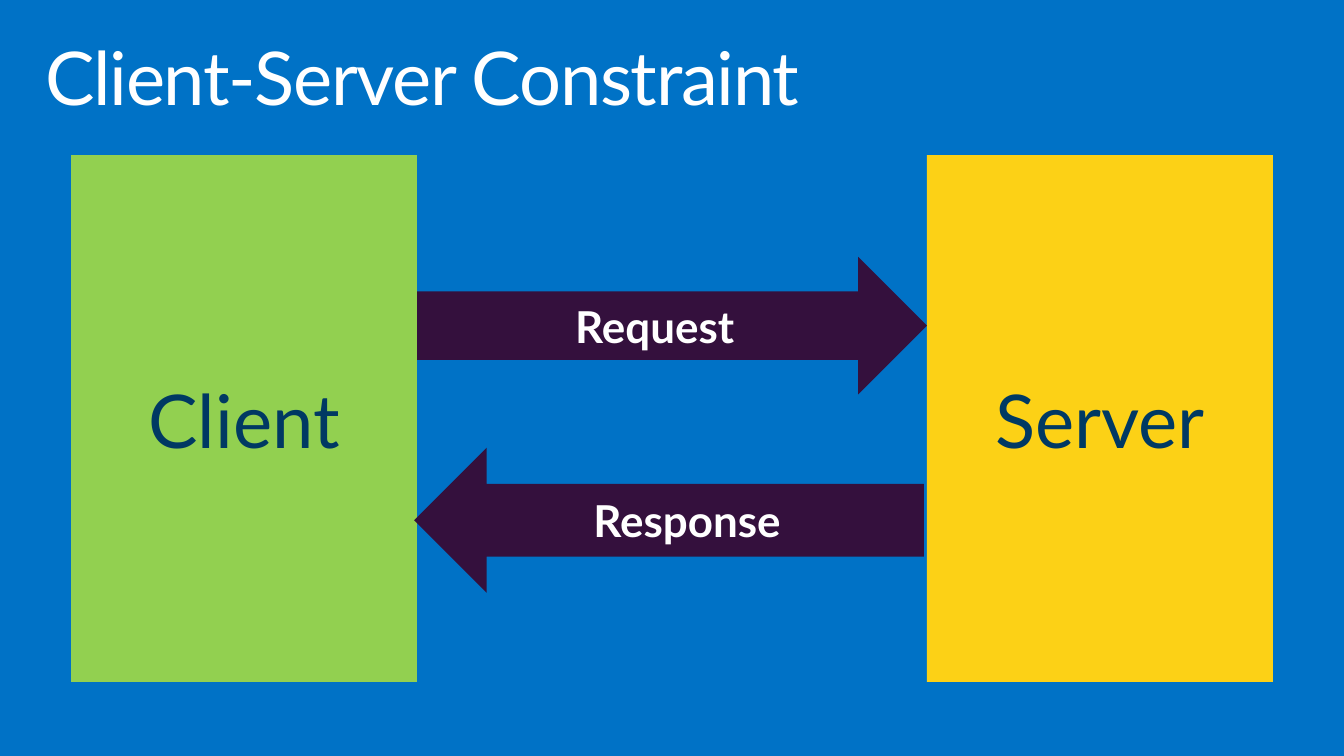
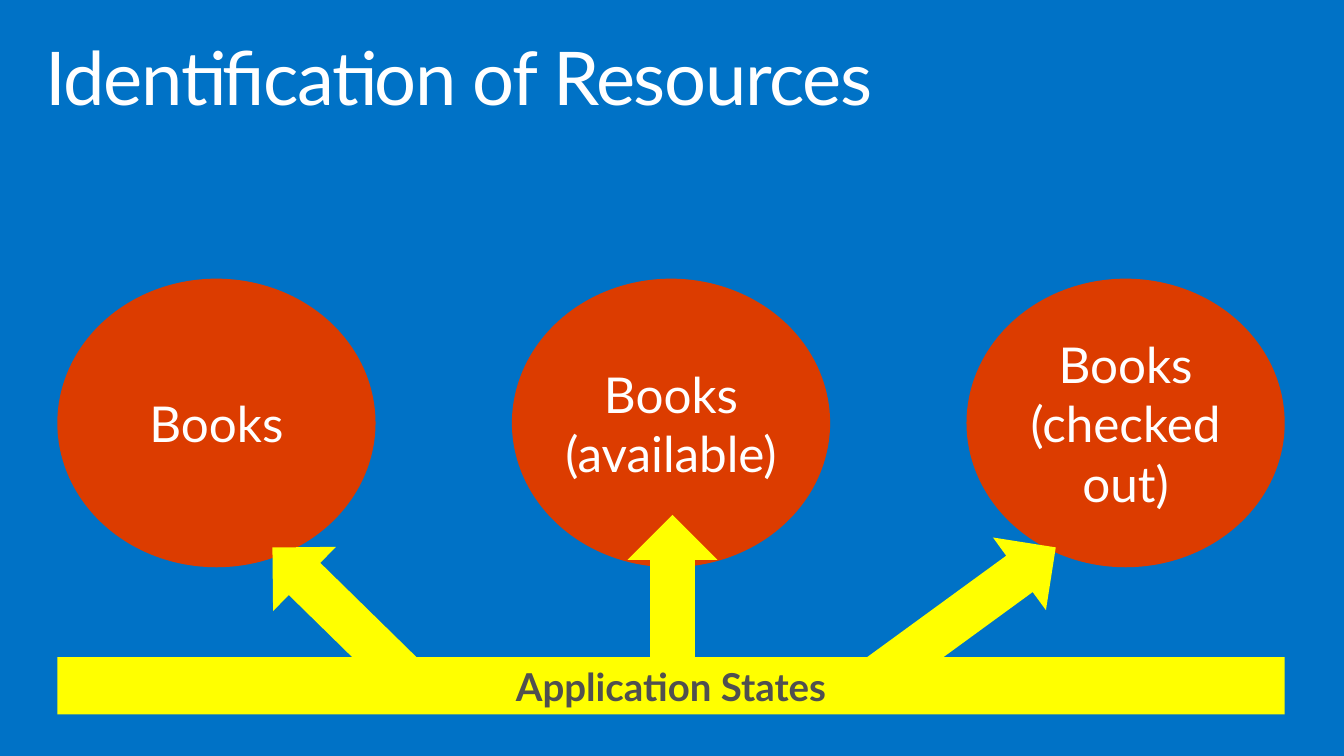
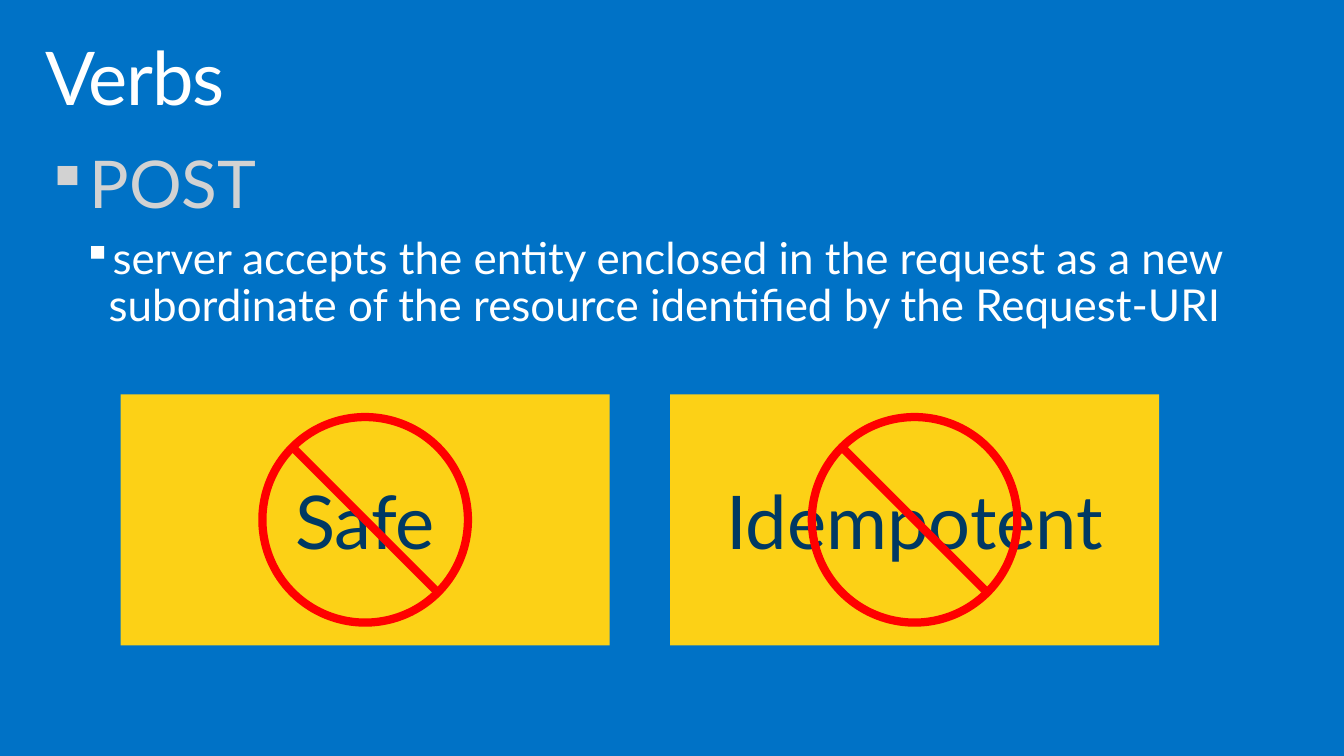
from math import cos, pi

from lxml.etree import SubElement
from pptx import Presentation
from pptx.dml.color import RGBColor
from pptx.enum.shapes import MSO_CONNECTOR as LINK, MSO_SHAPE as SHAPE
from pptx.enum.text import MSO_ANCHOR as ANCHOR, PP_ALIGN as ALIGN
from pptx.oxml.ns import qn
from pptx.util import Inches, Pt

# Shared style
WIDTH, HEIGHT = 13.6, 7.65
FONT = "Lato"
BLUE, NAVY, WHITE, SILVER, GRAY = "0072C6", "003963", "FFFFFF", "D2D2D2", "505050"
GREEN, GOLD, PURPLE = "92D050", "FCD116", "34103D"
ORANGE, YELLOW, RED = "DC3C00", "FFFF00", "FF0000"
TITLE_BOX = (0.3, 0.32, 13, 1)

# Client-server: label, fill; then label, shape, shift, top, height
PARTIES = [("Client", GREEN), ("Server", GOLD)]
PARTY_LEFT, PARTY_TOP, PARTY_W, PARTY_H = 0.72, 1.57, 3.5, 5.33
MESSAGES = [("Request", SHAPE.RIGHT_ARROW, 0, 2.6, 1.39),
            ("Response", SHAPE.LEFT_ARROW, -0.03, 4.53, 1.47)]

# Resources: circles above one bar; arrows as left, top, length, turn
RESOURCES = ["Books", "Books (available)", "Books (checked out)"]
STATES = "Application States"
BAR_LEFT, BAR_TOP, BAR_W, BAR_H = 0.58, 6.65, 12.42, 0.58
CIRCLE_TOP, CIRCLE_W, CIRCLE_H = 2.82, 3.22, 2.92
ARROWS = [(2.49, 5.74, 1.87, 44.4), (6.05, 5.51, 1.51, 90), (8.64, 5.75, 2.26, 143.9)]
ARROW_H = 0.91

# Verbs: text, size, colour, indent, hang
BULLETS = [("POST", 48, SILVER, 0.38, 0.38),
           ("server accepts the entity enclosed in the request as a new subordinate "
            "of the resource identified by the Request-URI", 32, WHITE, 0.64, 0.26)]
BULLET_BOX = (0.3, 1.43, 13.3, 2.04)
PROPERTIES = ["Safe", "Idempotent"]
CARD_LEFT, CARD_TOP, CARD_W, CARD_H, CARD_GAP = 1.22, 3.99, 4.95, 2.54, 0.61
SIGN_SIZE, SIGN_LINE = 2.08, 6


def rgb(color):
    return RGBColor.from_string(color)


def inches(*lengths):
    return [Inches(length) for length in lengths]


def style(font, size, color, bold=False):
    font.name, font.size, font.bold = FONT, Pt(size), bold
    font.color.rgb = rgb(color)


def add_block(slide, kind, box, fill, text="", size=54, color=NAVY, bold=False):
    block = slide.shapes.add_shape(kind, *inches(*box))
    block.shadow.inherit = False
    block.fill.solid()
    block.fill.fore_color.rgb = rgb(fill)
    block.line.fill.background()
    if text:
        frame = block.text_frame
        frame.text = text
        frame.word_wrap = True
        frame.vertical_anchor = ANCHOR.MIDDLE
        frame.margin_left = frame.margin_right = 0
        label = frame.paragraphs[0]
        label.alignment = ALIGN.CENTER
        style(label.runs[0].font, size, color, bold)
    return block


def add_text(slide, box):
    frame = slide.shapes.add_textbox(*inches(*box)).text_frame
    frame.word_wrap = True
    frame.margin_left = frame.margin_right = Inches(0.16)
    frame.margin_top = frame.margin_bottom = Inches(0.1)
    return frame


def new_slide(prs, title):
    slide = prs.slides.add_slide(prs.slide_layouts[6])
    heading = add_text(slide, TITLE_BOX).paragraphs[0]
    heading.text = title
    heading.line_spacing = 0.9
    run = heading.runs[0]
    style(run.font, 54, WHITE)
    run.font._element.set("spc", "-100")
    return slide


def add_bullet(paragraph, color, indent, hang):
    props = paragraph._p.get_or_add_pPr()
    props.set("marL", str(Inches(indent)))
    props.set("indent", str(-Inches(hang)))
    SubElement(SubElement(props, qn("a:buClr")), qn("a:srgbClr"), val=color)
    SubElement(props, qn("a:buSzPct"), val="90000")
    SubElement(props, qn("a:buChar"), char="▪")


def add_no_sign(slide, x, y):
    """Ring with a diagonal bar, centred on x, y."""
    sign = slide.shapes.add_group_shape().shapes
    radius = SIGN_SIZE / 2
    ring = sign.add_shape(SHAPE.OVAL, *inches(x - radius, y - radius, SIGN_SIZE, SIGN_SIZE))
    ring.shadow.inherit = False
    ring.fill.background()
    reach = radius * cos(pi / 4)
    slash = sign.add_connector(LINK.STRAIGHT,
                               *inches(x - reach, y - reach, x + reach, y + reach))
    SubElement(slash._element.spPr, qn("a:effectLst"))
    for stroke in (ring.line, slash.line):
        stroke.color.rgb = rgb(RED)
        stroke.width = Pt(SIGN_LINE)


def client_server(prs):
    slide = new_slide(prs, "Client-Server Constraint")
    gap = WIDTH - 2 * (PARTY_LEFT + PARTY_W)
    for i, (name, fill) in enumerate(PARTIES):
        left = PARTY_LEFT + i * (PARTY_W + gap)
        add_block(slide, SHAPE.RECTANGLE, (left, PARTY_TOP, PARTY_W, PARTY_H), fill, name)
    for name, kind, shift, top, height in MESSAGES:
        left = PARTY_LEFT + PARTY_W + shift
        add_block(slide, kind, (left, top, gap, height), PURPLE, name, 32, WHITE, True)


def resources(prs):
    slide = new_slide(prs, "Identification of Resources")
    pitch = (BAR_W - CIRCLE_W) / (len(RESOURCES) - 1)
    for i, name in enumerate(RESOURCES):
        box = (BAR_LEFT + i * pitch, CIRCLE_TOP, CIRCLE_W, CIRCLE_H)
        add_block(slide, SHAPE.OVAL, box, ORANGE, name, 36, WHITE)
    add_block(slide, SHAPE.RECTANGLE, (BAR_LEFT, BAR_TOP, BAR_W, BAR_H),
              YELLOW, STATES, 28, GRAY, True)
    for left, top, length, turn in ARROWS:
        arrow = add_block(slide, SHAPE.LEFT_ARROW, (left, top, length, ARROW_H), YELLOW)
        arrow.rotation = turn


def verbs(prs):
    slide = new_slide(prs, "Verbs")
    body = add_text(slide, BULLET_BOX)
    for level, (text, size, color, indent, hang) in enumerate(BULLETS):
        item = body.add_paragraph() if level else body.paragraphs[0]
        item.text = text
        add_bullet(item, color, indent, hang)
        item.level = level
        item.line_spacing = 0.9
        if level:
            item.space_before = Pt(10)
        style(item.runs[0].font, size, color)
    for i, name in enumerate(PROPERTIES):
        left = CARD_LEFT + i * (CARD_W + CARD_GAP)
        add_block(slide, SHAPE.RECTANGLE, (left, CARD_TOP, CARD_W, CARD_H), GOLD, name)
        add_no_sign(slide, left + CARD_W / 2, CARD_TOP + CARD_H / 2)


def main():
    prs = Presentation()
    prs.slide_width, prs.slide_height = inches(WIDTH, HEIGHT)
    backdrop = prs.slide_master.background.fill
    backdrop.solid()
    backdrop.fore_color.rgb = rgb(BLUE)
    for build in (client_server, resources, verbs):
        build(prs)
    prs.save("out.pptx")


if __name__ == "__main__":
    main()
